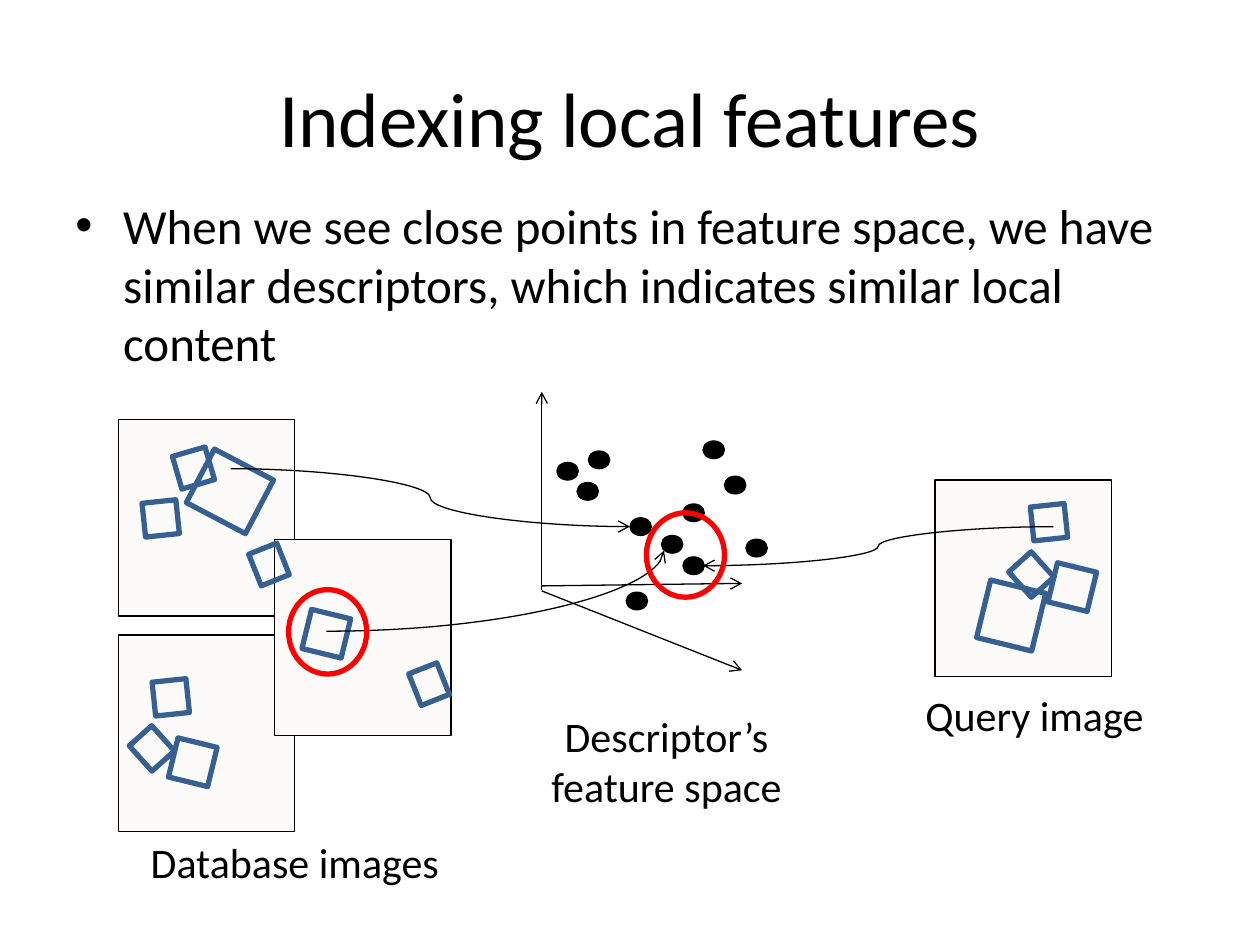
from dataclasses import dataclass
from typing import NamedTuple

from lxml import etree
from pptx import Presentation
from pptx.dml.color import RGBColor
from pptx.enum.shapes import MSO_CONNECTOR, MSO_SHAPE
from pptx.enum.text import MSO_ANCHOR, PP_ALIGN
from pptx.oxml.ns import qn
from pptx.util import Inches, Pt

RECT, OVAL = MSO_SHAPE.RECTANGLE, MSO_SHAPE.OVAL
LINE, CURVE = MSO_CONNECTOR.STRAIGHT, MSO_CONNECTOR.CURVE
LEFT, CENTER = PP_ALIGN.LEFT, PP_ALIGN.CENTER
MIDDLE = MSO_ANCHOR.MIDDLE


@dataclass(frozen=True)
class Theme:
    font: str = "Calibri"
    ink: str = "000000"
    paper: str = "FCFBF9"
    patch: str = "376092"
    ring: str = "FF0000"
    title: int = 44
    body: int = 28
    label: int = 24
    thin: float = 0.75
    thick: float = 3


class Box(NamedTuple):
    left: float
    top: float
    width: float
    height: float
    turn: float = 0


class Label(NamedTuple):
    text: str
    box: Box


class Arrow(NamedTuple):
    kind: MSO_CONNECTOR
    start: tuple[float, float]
    end: tuple[float, float]
    preset: str = ""


THEME = Theme()
TITLE = Label("Indexing local features", Box(0.5, 0.3, 9, 1.25))
POINT = Label(
    "When we see close points in feature space, we have similar "
    "descriptors, which indicates similar local content",
    Box(0.5, 1.5, 9, 4.95),
)
LABELS = [
    Label("Descriptor’s feature space", Box(4, 5.59, 2.58, 0.91)),
    Label("Database images", Box(1.05, 6.59, 2.58, 0.91)),
    Label("Query image", Box(7.17, 5.42, 2.08, 0.91)),
]

# Three database images, then the query image
PANELS = [(0.94, 3.33), (0.94, 5.04), (2.18, 4.28), (7.42, 3.81)]
PATCHES = [
    Box(1.4, 3.58, 0.27, 0.27, 73.8),
    Box(1.56, 3.66, 0.53, 0.48, 27.7),
    Box(1.07, 5.82, 0.27, 0.24, 48.1),
    Box(1.14, 3.98, 0.27, 0.27, 84),
    Box(2, 4.36, 0.27, 0.24, 68.3),
    Box(1.22, 5.4, 0.27, 0.27, 84),
    Box(3.27, 5.31, 0.27, 0.24, 68.3),
    Box(1.37, 5.89, 0.32, 0.32, 13.7),
    Box(2.43, 4.87, 0.32, 0.32, 13.7),
    Box(8.05, 4.44, 0.27, 0.24, 48.1),
    Box(8.19, 4.01, 0.27, 0.27, 84),
    Box(8.35, 4.5, 0.32, 0.32, 13.7),
    Box(7.8, 4.65, 0.45, 0.47, 13.7),
]
DOTS = [
    (4.42, 3.67), (4.58, 3.83), (4.67, 3.58), (5, 4.11),
    (5.25, 4.25), (5.42, 4), (5.58, 3.5), (5.75, 3.78),
    (5.92, 4.28), (4.97, 4.7), (5.42, 4.42),
]
RINGS = [(5.13, 4.07), (2.29, 4.68)]
AXES = [
    Arrow(LINE, (4.3, 4.65), (5.89, 4.63)),
    Arrow(LINE, (4.3, 4.68), (4.3, 3.11)),
    Arrow(LINE, (4.3, 4.69), (5.89, 5.32)),
]
LINKS = [
    Arrow(CURVE, (1.83, 3.72), (5, 4.18)),
    Arrow(CURVE, (2.59, 5.01), (5.27, 4.37), "curvedConnector2"),
    Arrow(CURVE, (8.36, 4.18), (5.58, 4.49)),
]


def color(code: str) -> RGBColor:
    return RGBColor.from_string(code)


def place(shape, box: Box) -> None:
    shape.left, shape.top = Inches(box.left), Inches(box.top)
    shape.width, shape.height = Inches(box.width), Inches(box.height)


def write(shape, text: str, size: int, align: PP_ALIGN, bullet: bool = False) -> None:
    frame = shape.text_frame
    frame.word_wrap = True
    frame.text = text
    para = frame.paragraphs[0]
    para.alignment = align
    if bullet:
        props = para._p.get_or_add_pPr()
        props.set("marL", str(Inches(0.38)))
        props.set("indent", str(-Inches(0.38)))
        etree.SubElement(props, qn("a:buFont"), typeface="Arial")
        etree.SubElement(props, qn("a:buChar"), char="•")
    para.font.name = THEME.font
    para.font.size = Pt(size)
    para.font.color.rgb = color(THEME.ink)


def add_text(slide, label: Label, size: int, align: PP_ALIGN, bullet: bool = False) -> None:
    shape = slide.shapes.add_textbox(*map(Inches, label.box[:4]))
    write(shape, label.text, size, align, bullet)


def add_form(slide, kind: MSO_SHAPE, box: Box, line: str, width: float, fill: str = "") -> None:
    shape = slide.shapes.add_shape(kind, *map(Inches, box[:4]))
    shape.rotation = box.turn
    shape.shadow.inherit = False
    if fill:
        shape.fill.solid()
        shape.fill.fore_color.rgb = color(fill)
    else:
        shape.fill.background()
    shape.line.color.rgb = color(line)
    shape.line.width = Pt(width)


def add_arrow(slide, arrow: Arrow) -> None:
    ends = map(Inches, arrow.start + arrow.end)
    shape = slide.shapes.add_connector(arrow.kind, *ends)
    shape.line.color.rgb = color(THEME.ink)
    shape.line.width = Pt(THEME.thin)
    props = shape._element.spPr
    if arrow.preset:
        props.find(qn("a:prstGeom")).set("prst", arrow.preset)
    etree.SubElement(props.find(qn("a:ln")), qn("a:tailEnd"), type="arrow")
    etree.SubElement(props, qn("a:effectLst"))


def main() -> None:
    deck = Presentation()
    deck.slide_width, deck.slide_height = Inches(10), Inches(7.5)
    slide = deck.slides.add_slide(deck.slide_layouts.get_by_name("Title Only"))

    # Title and bullet
    title = slide.shapes.title
    place(title, TITLE.box)
    title.text_frame.vertical_anchor = MIDDLE
    write(title, TITLE.text, THEME.title, CENTER)
    add_text(slide, POINT, THEME.body, LEFT, bullet=True)

    # Images with their local patches
    for spot in PANELS:
        add_form(slide, RECT, Box(*spot, 1.4, 1.56), THEME.ink, THEME.thin, THEME.paper)
    for patch in PATCHES:
        add_form(slide, RECT, patch, THEME.patch, THEME.thick)

    # Feature space, and links into it
    for axis in AXES:
        add_arrow(slide, axis)
    for spot in DOTS:
        add_form(slide, OVAL, Box(*spot, 0.17, 0.14), THEME.ink, THEME.thin, THEME.ink)
    for link in LINKS:
        add_arrow(slide, link)

    # Matching pair and captions
    for spot in RINGS:
        add_form(slide, OVAL, Box(*spot, 0.62, 0.67), THEME.ring, THEME.thick)
    for label in LABELS:
        add_text(slide, label, THEME.label, CENTER)

    deck.save("out.pptx")


if __name__ == "__main__":
    main()
